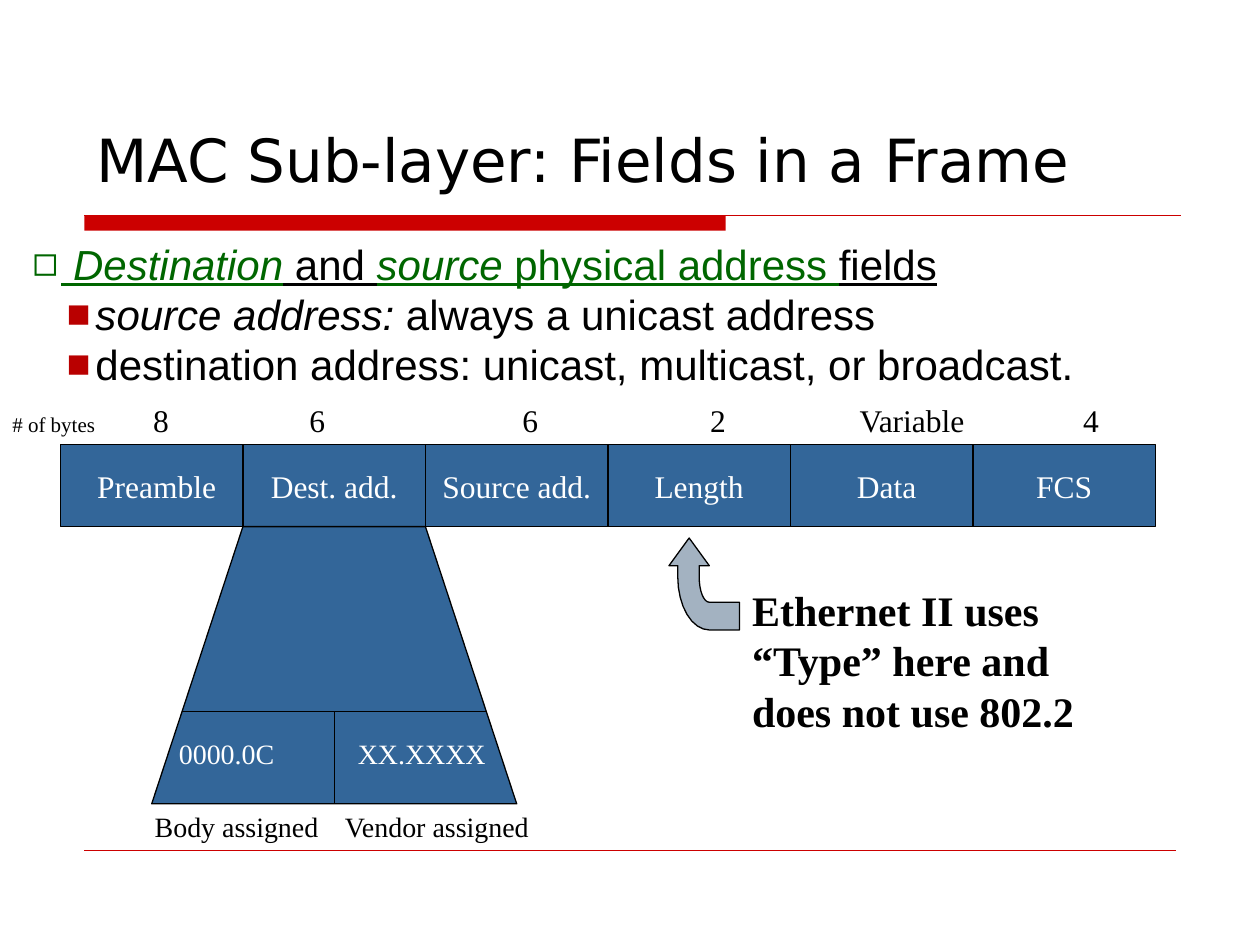
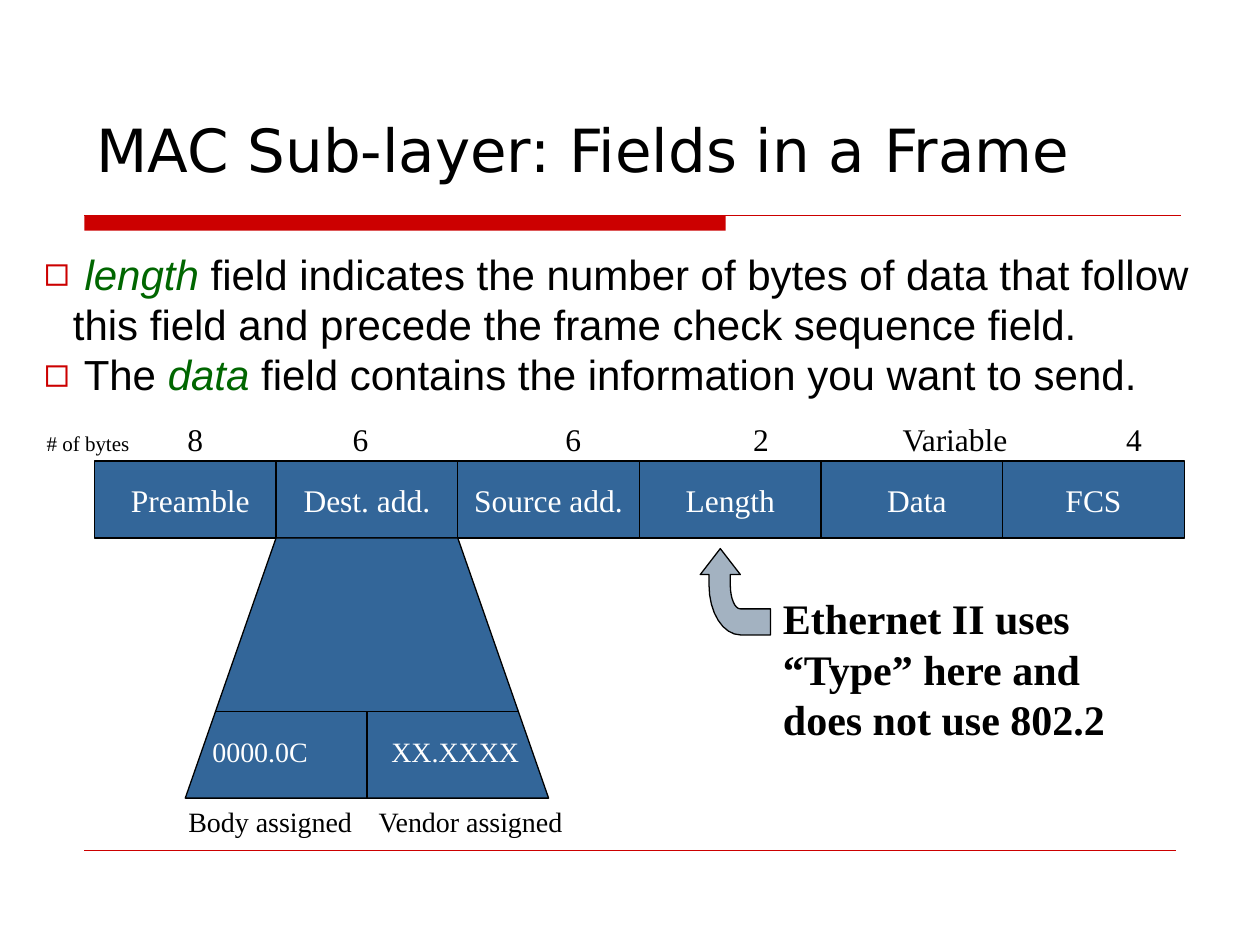
from dataclasses import dataclass
from math import cos, pi, sin

from lxml.etree import SubElement
from pptx import Presentation
from pptx.dml.color import RGBColor
from pptx.enum.shapes import MSO_CONNECTOR, MSO_SHAPE
from pptx.enum.text import MSO_ANCHOR, PP_ALIGN
from pptx.oxml.ns import qn
from pptx.util import Inches, Pt

BLACK = RGBColor(0x00, 0x00, 0x00)
WHITE = RGBColor(0xFF, 0xFF, 0xFF)
RED = RGBColor(0xCC, 0x00, 0x00)
DARK_RED = RGBColor(0xB9, 0x00, 0x00)
GREEN = RGBColor(0x00, 0x66, 0x00)
BLUE = RGBColor(0x33, 0x66, 0x99)
GREY = RGBColor(0xA3, 0xB2, 0xC1)

TITLE_FONT, BODY_FONT, FRAME_FONT = "DejaVu Sans", "Arial", "Times New Roman"
TITLE = "MAC Sub-layer: Fields in a Frame"
FIELDS = ["Preamble", "Dest. add.", "Source add.", "Length", "Data", "FCS"]
WIDE_FIELDS = {"Preamble", "Data"}
BYTES = ["8", "6", "6", "2", "Variable", "4"]
BYTE_TABS = [1.18, 2.42, 4.11, 5.6, 7.14, 8.56]
HANG = 0.23


@dataclass
class Span:
    """A stretch of body text in one format."""
    text: str
    color: RGBColor = BLACK
    italic: bool = False
    underline: bool = False


@dataclass
class Bullet:
    """A bulleted paragraph."""
    spans: list[Span]
    color: RGBColor
    char: str = "◻"
    indent: float = HANG
    percent: int = 100


@dataclass
class Frame:
    """Place and size of the frame diagram; offsets follow its scale."""
    left: float
    top: float
    width: float
    height: float
    tab_shift: float = 0

    @property
    def pitch(self) -> float:
        """Width of one field."""
        return self.width / len(FIELDS)

    def x(self, dx: float) -> float:
        """Horizontal position of an offset from the left of the frame."""
        return self.left + dx * self.width / 8.69

    def y(self, dy: float) -> float:
        """Vertical position of an offset from the top of the frame."""
        return self.top + dy * self.height / 0.65


@dataclass
class Page:
    """Everything that differs between the slides."""
    title_top: float
    body: tuple[float, float, float, float]
    bullets: list[Bullet]
    frame: Frame


def write(p, text: str, font: str = FRAME_FONT, size: float = 18, color: RGBColor = BLACK,
          bold: bool = False, italic: bool = False, underline: bool = False) -> None:
    """Append a formatted run to a paragraph."""
    r = p.add_run()
    r.text = text
    r.font.name, r.font.size, r.font.color.rgb = font, Pt(size), color
    r.font.bold, r.font.italic, r.font.underline = bold, italic, underline


def add_box(s, left: float, top: float, width: float, height: float, anchor=MSO_ANCHOR.TOP):
    """Add a wrapping text box and return its text frame."""
    tf = s.shapes.add_textbox(Inches(left), Inches(top), Inches(width), Inches(height)).text_frame
    tf.word_wrap = True
    tf.vertical_anchor = anchor
    return tf


def paint(sp, fill: RGBColor, line: RGBColor | None = BLACK) -> None:
    """Set fill and outline, without shadow."""
    sp.shadow.inherit = False
    sp.fill.solid()
    sp.fill.fore_color.rgb = fill
    if line is None:
        sp.line.fill.background()
    else:
        sp.line.color.rgb = line
        sp.line.width = Pt(0.75)


def add_shape(s, kind, left: float, top: float, width: float, height: float,
              fill: RGBColor, line: RGBColor | None = BLACK):
    """Add a painted preset shape."""
    sp = s.shapes.add_shape(kind, Inches(left), Inches(top), Inches(width), Inches(height))
    paint(sp, fill, line)
    return sp


def add_line(s, x1: float, y1: float, x2: float, y2: float,
             color: RGBColor = BLACK, width: float = 0.75) -> None:
    """Add a straight line without shadow."""
    line = s.shapes.add_connector(MSO_CONNECTOR.STRAIGHT, Inches(x1), Inches(y1), Inches(x2), Inches(y2))
    line.line.color.rgb = color
    line.line.width = Pt(width)
    SubElement(line._element.spPr, qn("a:effectLst"))


def set_tabs(p, stops: list[float], align: str = "l") -> None:
    """Give a paragraph its tab stops."""
    tabs = SubElement(p._p.get_or_add_pPr(), qn("a:tabLst"))
    for stop in stops:
        SubElement(tabs, qn("a:tab"), pos=str(Inches(stop)), algn=align)


def set_bullet(p, bullet: Bullet) -> None:
    """Give a paragraph its hanging bullet."""
    pPr = p._p.get_or_add_pPr()
    pPr.set("marL", str(Inches(bullet.indent)))
    pPr.set("indent", str(-Inches(HANG)))
    SubElement(SubElement(pPr, qn("a:buClr")), qn("a:srgbClr"), val=str(bullet.color))
    SubElement(pPr, qn("a:buSzPct"), val=str(bullet.percent * 1000))
    SubElement(pPr, qn("a:buFont"), typeface=BODY_FONT)
    SubElement(pPr, qn("a:buChar"), char=bullet.char)


def add_base(s, title_top: float) -> None:
    """Draw the title, the red band and the footer rule."""
    add_shape(s, MSO_SHAPE.RECTANGLE, 0.67, 1.71, 5.09, 0.12, RED, None)
    add_line(s, 0.67, 1.71, 9.37, 1.71, RED, 1)
    add_line(s, 0.67, 6.75, 9.33, 6.75, RED, 0.25)
    tf = add_box(s, 0.67, title_top, 8.33, 0.75, MSO_ANCHOR.BOTTOM)
    write(tf.paragraphs[0], TITLE, TITLE_FONT, 34)


def add_body(s, page: Page) -> None:
    """Write the bulleted text."""
    tf = add_box(s, *page.body)
    for i, bullet in enumerate(page.bullets):
        p = tf.add_paragraph() if i else tf.paragraphs[0]
        set_bullet(p, bullet)
        for span in bullet.spans:
            write(p, span.text, BODY_FONT, 24, span.color, italic=span.italic, underline=span.underline)


def add_fields(s, f: Frame) -> None:
    """Draw the row of fields and the byte counts above it."""
    for i, name in enumerate(FIELDS):
        width = f.pitch + (0.08 if name in WIDE_FIELDS else 0)
        sp = add_shape(s, MSO_SHAPE.RECTANGLE, f.left + i * f.pitch, f.top, width, f.height, BLUE)
        tf = sp.text_frame
        tf.word_wrap = False
        p = tf.paragraphs[0]
        p.alignment = PP_ALIGN.CENTER
        write(p, name, color=WHITE)
    p = add_box(s, f.x(-0.48), f.y(-0.4), 9.33, 0.4).paragraphs[0]
    set_tabs(p, [BYTE_TABS[0]] + [t + f.tab_shift for t in BYTE_TABS[1:]], "ctr")
    write(p, "# of bytes", size=12)
    write(p, "\t" + "\t".join(BYTES))


def add_type_note(s, f: Frame) -> None:
    """Draw the bent arrow to the length field and its note."""
    turn = [i * pi / 16 for i in range(9)]
    outer = [(5.15 - 0.25 * cos(a), 1.05 + 0.42 * sin(a)) for a in turn]
    inner = [(5.15 - 0.08 * cos(a), 1.05 + 0.2 * sin(a)) for a in reversed(turn)]
    outline = [(4.99, 0.74), (4.83, 0.96), (4.9, 0.96), *outer, (5.39, 1.47), (5.39, 1.25),
               *inner, (5.07, 0.96), (5.15, 0.96)]
    points = [(Inches(f.x(dx)), Inches(f.y(dy))) for dx, dy in outline]
    fb = s.shapes.build_freeform(*points[0])
    fb.add_line_segments(points[1:], close=True)
    paint(fb.convert_to_shape(), GREY)
    p = add_box(s, f.x(5.39), f.y(1.06), 2.82, 1.3).paragraphs[0]
    write(p, "Ethernet II uses “Type” here and does not use 802.2", size=24, bold=True)


def add_address_zoom(s, f: Frame) -> None:
    """Draw the destination address opened into its two halves."""
    top, bottom = f.top + f.height, f.y(2.85)
    height = bottom - top
    split, middle = top + height * 2 / 3, f.left + 1.5 * f.pitch
    half = f.pitch * 5 / 6
    sp = add_shape(s, MSO_SHAPE.TRAPEZOID, middle - f.pitch, top, 2 * f.pitch, height, BLUE)
    sp.adjustments[0] = f.pitch / 2 / min(height, 2 * f.pitch)
    add_line(s, middle - half, split, middle + half, split)

    sp = add_shape(s, MSO_SHAPE.RECTANGLE, f.x(0.94), f.y(2.29), 2.46, f.height / 2, BLUE, None)
    tf = sp.text_frame
    tf.margin_left = tf.margin_right = 0
    p = tf.paragraphs[0]
    p.alignment = PP_ALIGN.LEFT
    set_tabs(p, [1.42])
    write(p, "0000.0C\tXX.XXXX", size=16, color=WHITE)

    p = add_box(s, f.x(0.65), bottom, 3.3, 0.37).paragraphs[0]
    set_tabs(p, [1.51])
    write(p, "Body assigned\tVendor assigned", size=16)
    add_line(s, middle, split, middle, bottom)


PAGES = [
    Page(0.84, (0.16, 1.84, 9.14, 1.3), [
        Bullet([Span(" Destination", GREEN, True, True), Span(" and ", underline=True),
                Span("source ", GREEN, True, True), Span("physical address ", GREEN, underline=True),
                Span("fields", underline=True)], GREEN),
        Bullet([Span("source address: ", italic=True), Span("always a unicast address")],
               DARK_RED, "■", 0.5, 95),
        Bullet([Span("destination address: unicast, multicast, or broadcast.")],
               DARK_RED, "■", 0.5, 95),
    ], Frame(0.48, 3.53, 8.69, 0.65)),
    Page(0.76, (0.25, 1.92, 9.75, 1.3), [
        Bullet([Span(" length ", GREEN, True),
                Span("field indicates the number of bytes of data that follow this field "
                     "and precede the frame check sequence field.")], RED),
        Bullet([Span(" The "), Span("data", GREEN, True),
                Span(" field contains the information you want to send.")], RED),
    ], Frame(0.75, 3.66, 8.65, 0.61, 0.07)),
]


def main() -> None:
    """Build and save the slides."""
    prs = Presentation()
    prs.slide_width, prs.slide_height = Inches(10), Inches(7.5)
    for page in PAGES:
        s = prs.slides.add_slide(prs.slide_layouts[6])
        add_base(s, page.title_top)
        add_body(s, page)
        add_fields(s, page.frame)
        add_type_note(s, page.frame)
        add_address_zoom(s, page.frame)
    prs.save("out.pptx")


if __name__ == "__main__":
    main()
